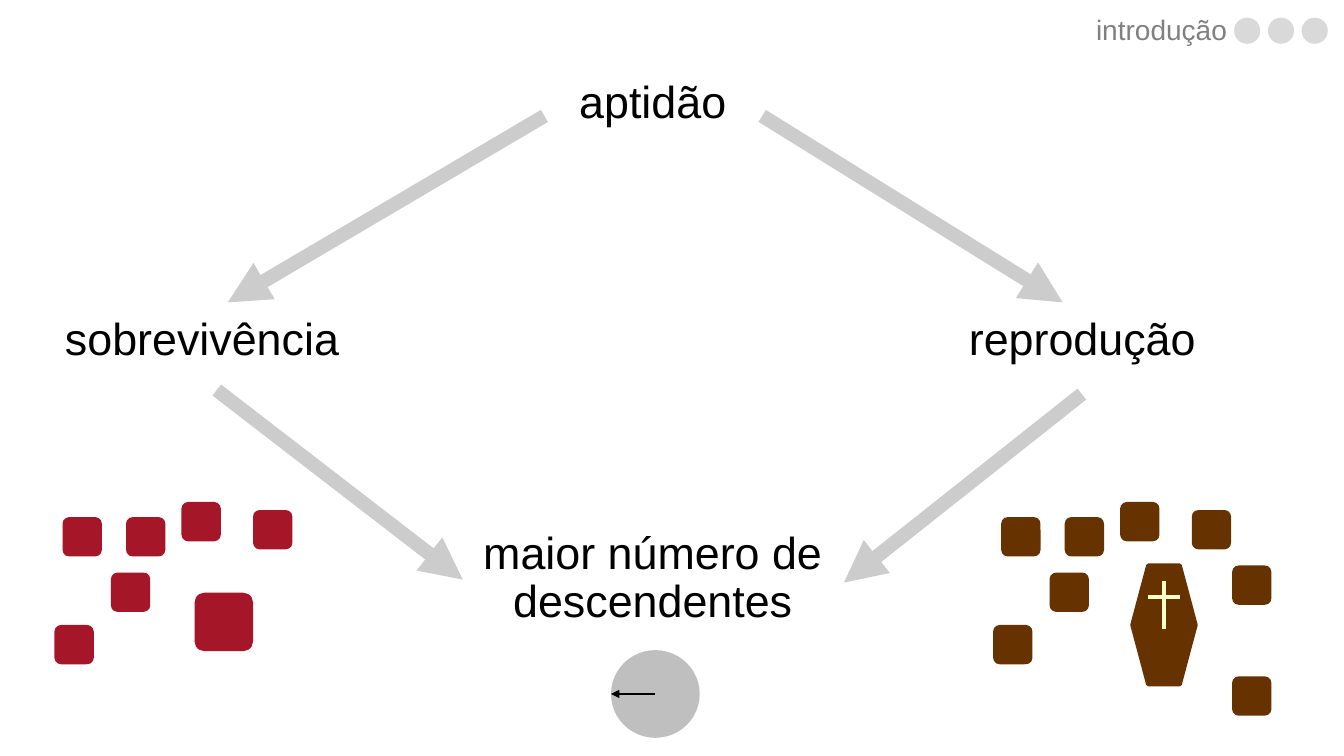
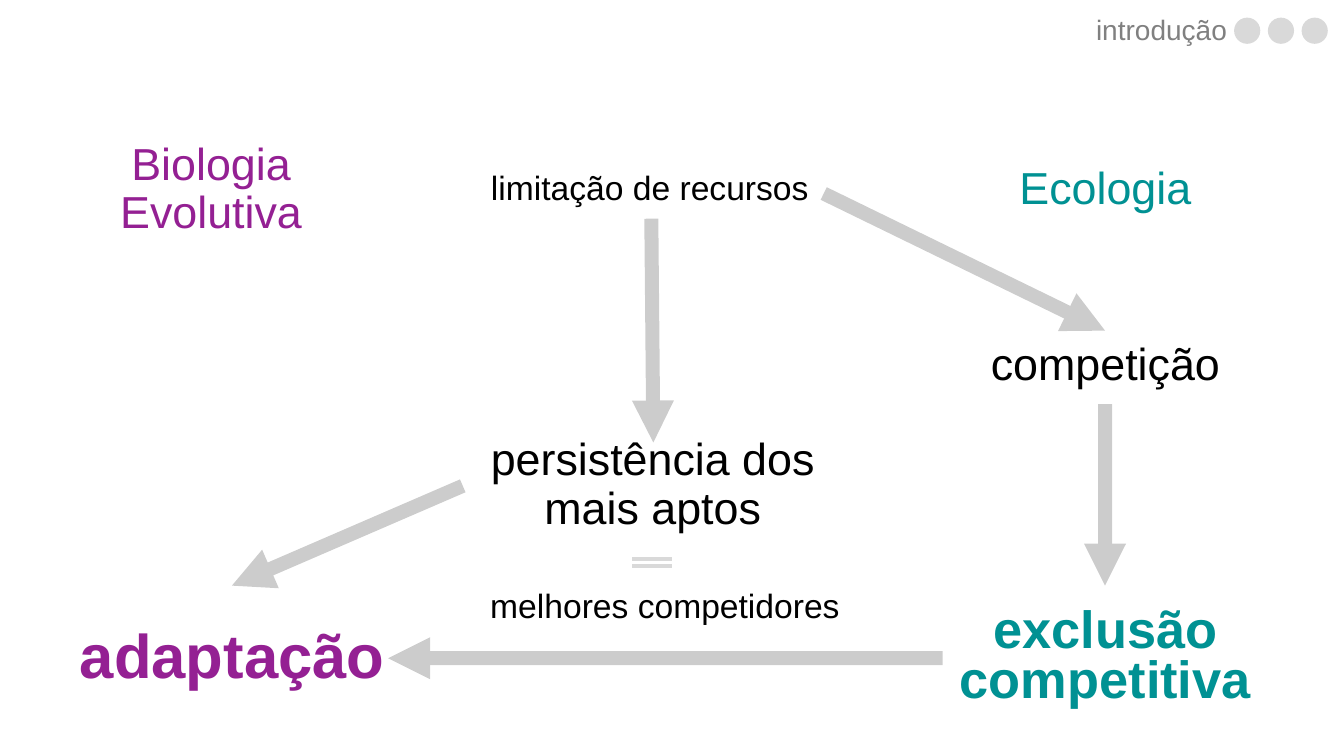
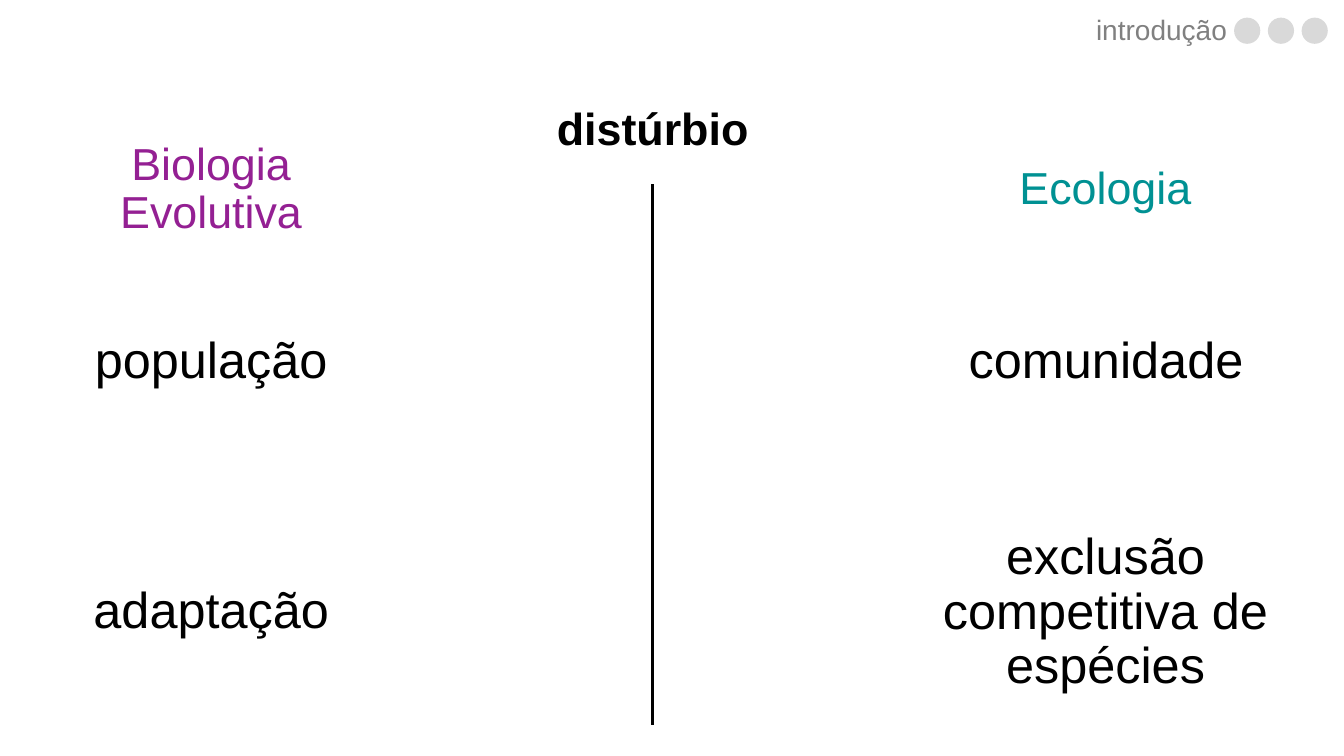
from collections import namedtuple

from lxml import etree
from pptx import Presentation
from pptx.dml.color import RGBColor
from pptx.enum.shapes import MSO_CONNECTOR, MSO_SHAPE
from pptx.enum.text import MSO_ANCHOR, MSO_AUTO_SIZE, PP_ALIGN
from pptx.oxml.ns import qn
from pptx.util import Inches, Pt

STRAIGHT = MSO_CONNECTOR.STRAIGHT
OVAL = MSO_SHAPE.OVAL
ROUNDED = MSO_SHAPE.ROUNDED_RECTANGLE
MIDDLE = MSO_ANCHOR.MIDDLE
NO_FIT = MSO_AUTO_SIZE.NONE
CENTER, RIGHT = PP_ALIGN.CENTER, PP_ALIGN.RIGHT

BLACK = RGBColor(0x00, 0x00, 0x00)
GRAY = RGBColor(0x80, 0x80, 0x80)
LIGHT_GRAY = RGBColor(0xD9, 0xD9, 0xD9)
CLOCK_GRAY = RGBColor(0xBF, 0xBF, 0xBF)
RED = RGBColor(0xA5, 0x16, 0x28)
BROWN = RGBColor(0x66, 0x33, 0x00)
CREAM = RGBColor(0xFF, 0xFF, 0xCC)
PURPLE = RGBColor(0x94, 0x20, 0x93)
TEAL = RGBColor(0x00, 0x91, 0x93)

FONT = "Arial"
TITLE_ONLY = 5
CONCEPT_WIDTH, CONCEPT_HEIGHT = 3.77, 1.99
SQUARE = 0.39
SQUARE_OFFSETS = [(0.08, 0.15), (0.71, 0.15), (1.26, 0), (1.97, 0.08),
                  (0.56, 0.7), (0, 1.22)]

Box = namedtuple("Box", "left top width height")


def write(shape, text, size, color, bold=False, align=CENTER, spacing=0.9):
    frame = shape.text_frame
    frame.word_wrap = True
    frame.auto_size = NO_FIT
    frame.vertical_anchor = MIDDLE
    para = frame.paragraphs[0]
    para.alignment = align
    para.line_spacing = spacing
    span = para.add_run()
    span.text = text
    span.font.name = FONT
    span.font.size = Pt(size)
    span.font.bold = bold
    span.font.color.rgb = color


def add_label(page, box, text, size=32, color=BLACK, bold=False, spacing=0.9):
    shape = page.shapes.add_textbox(*map(Inches, box))
    write(shape, text, size, color, bold, spacing=spacing)


def add_concept(page, left, top, text, size=32, bold=False):
    box = Box(left, top, CONCEPT_WIDTH, CONCEPT_HEIGHT)
    add_label(page, box, text, size, bold=bold)


def add_solid(page, kind, box, color):
    shape = page.shapes.add_shape(kind, *map(Inches, box))
    shape.shadow.inherit = False
    shape.fill.solid()
    shape.fill.fore_color.rgb = color
    shape.line.fill.background()


def add_line(page, start, end, color=BLACK, width=2.83, head=False, opacity=100):
    line = page.shapes.add_connector(STRAIGHT, *map(Inches, start + end))
    line.line.width = Pt(width)
    line.line.color.rgb = color
    outline = line.line._get_or_add_ln()
    if opacity < 100:
        tint = outline.find(".//" + qn("a:srgbClr"))
        etree.SubElement(tint, qn("a:alpha"), val=str(opacity * 1000))
    if head:
        etree.SubElement(outline, qn("a:tailEnd"), type="triangle")
    etree.SubElement(line._element.spPr, qn("a:effectLst"))


def add_arrows(page, arrows):
    for start, end in arrows:
        add_line(page, start, end, width=10, head=True, opacity=20)


def add_squares(page, left, top, offsets, color, size=SQUARE):
    for across, down in offsets:
        add_solid(page, ROUNDED, Box(left + across, top + down, size, size), color)


def add_clock(page, box):
    add_solid(page, OVAL, box, CLOCK_GRAY)
    middle = box.top + box.height / 2
    add_line(page, (box.left + box.width / 2, middle), (box.left, middle),
             width=1.5, head=True)


def add_coffin(page, box):
    corners = [(0.25, 0), (0.75, 0), (1, 0.5), (0.75, 1), (0.25, 1), (0, 0.5)]
    points = [(Inches(box.left + x * box.width), Inches(box.top + y * box.height))
              for x, y in corners]
    builder = page.shapes.build_freeform(*points[0])
    builder.add_line_segments(points[1:], close=True)
    coffin = builder.convert_to_shape()
    coffin.shadow.inherit = False
    coffin.fill.solid()
    coffin.fill.fore_color.rgb = BROWN
    coffin.line.color.rgb = BROWN
    coffin.line.width = Pt(2.83)

    center = box.left + box.width / 2
    bar = box.top + 0.31
    add_line(page, (center, box.top + 0.15), (center, box.top + 0.63), CREAM)
    add_line(page, (center - 0.16, bar), (center + 0.16, bar), CREAM)


def add_page(deck):
    """Add a slide with the section title and its three progress dots."""
    page = deck.slides.add_slide(deck.slide_layouts[TITLE_ONLY])
    title = page.shapes.title
    title.left, title.top, title.width, title.height = map(
        Inches, Box(9.85, 0.08, 2.42, 0.47))
    write(title, "introdução", 20, GRAY, align=RIGHT)
    for index in range(3):
        add_solid(page, OVAL, Box(12.24 + index * 0.335, 0.175, 0.26, 0.26), LIGHT_GRAY)
    return page


def add_field_names(page):
    add_label(page, Box(0.48, 1.16, 3.23, 1.45), "Biologia Evolutiva", color=PURPLE)
    add_label(page, Box(9.35, 1.16, 3.23, 1.45), "Ecologia", color=TEAL)


def build_fitness(deck):
    page = add_page(deck)
    add_concept(page, 4.59, 0.04, "aptidão")
    add_concept(page, 8.85, 2.39, "reprodução")
    add_concept(page, 0.12, 2.39, "sobrevivência")
    add_concept(page, 4.59, 4.75, "maior número de descendentes")
    add_arrows(page, [((5.4, 1.15), (2.26, 3)), ((7.56, 1.15), (10.54, 3)),
                      ((2.15, 3.87), (4.59, 5.75)), ((10.73, 3.91), (8.37, 5.78))])
    add_squares(page, 9.85, 4.98, SQUARE_OFFSETS + [(2.37, 0.63), (2.37, 1.73)], BROWN)
    add_squares(page, 0.54, 4.98, SQUARE_OFFSETS, RED)
    add_squares(page, 0.54, 4.98, [(1.39, 0.9)], RED, size=0.58)
    add_clock(page, Box(6.06, 6.45, 0.88, 0.87))
    add_coffin(page, Box(11.23, 5.61, 0.63, 1.18))


def build_competition(deck):
    page = add_page(deck)
    add_field_names(page)
    add_concept(page, 4.56, 0.89, "limitação de recursos", size=24)
    add_concept(page, 4.59, 3.82, "persistência dos mais aptos")
    add_concept(page, 4.71, 5.03, "melhores competidores", size=24)
    add_concept(page, 9.08, 2.64, "competição")
    add_label(page, Box(0.62, 5.81, 3.37, 1.45), "adaptação", 44, PURPLE, bold=True)
    add_label(page, Box(9.35, 5.81, 3.23, 1.45), "exclusão competitiva", 37.4, TEAL,
              bold=True, spacing=0.8)
    for height in (5.55, 5.62):
        add_line(page, (6.27, height), (6.67, height), LIGHT_GRAY)
    add_arrows(page, [((9.35, 6.53), (3.85, 6.53)), ((4.59, 4.82), (2.3, 5.81)),
                      ((6.46, 2.17), (6.48, 4.39)), ((10.96, 4.01), (10.96, 5.81)),
                      ((8.17, 1.92), (10.96, 3.28))])


def build_disturbance(deck):
    page = add_page(deck)
    add_field_names(page)
    add_concept(page, 4.59, 0.3, "distúrbio", bold=True)
    for box, text in [
        (Box(0.41, 2.87, 3.37, 1.45), "população"),
        (Box(0.41, 5.35, 3.37, 1.45), "adaptação"),
        (Box(9.19, 2.87, 3.56, 1.45), "comunidade"),
        (Box(8.88, 4.87, 4.17, 2.42), "exclusão competitiva de espécies"),
    ]:
        add_label(page, box, text, size=36)
    add_line(page, (6.47, 1.83), (6.47, 7.19), width=2.25)


def main():
    deck = Presentation()
    deck.slide_width, deck.slide_height = Inches(13.33), Inches(7.5)
    build_fitness(deck)
    build_competition(deck)
    build_disturbance(deck)
    deck.save("out.pptx")


if __name__ == "__main__":
    main()
